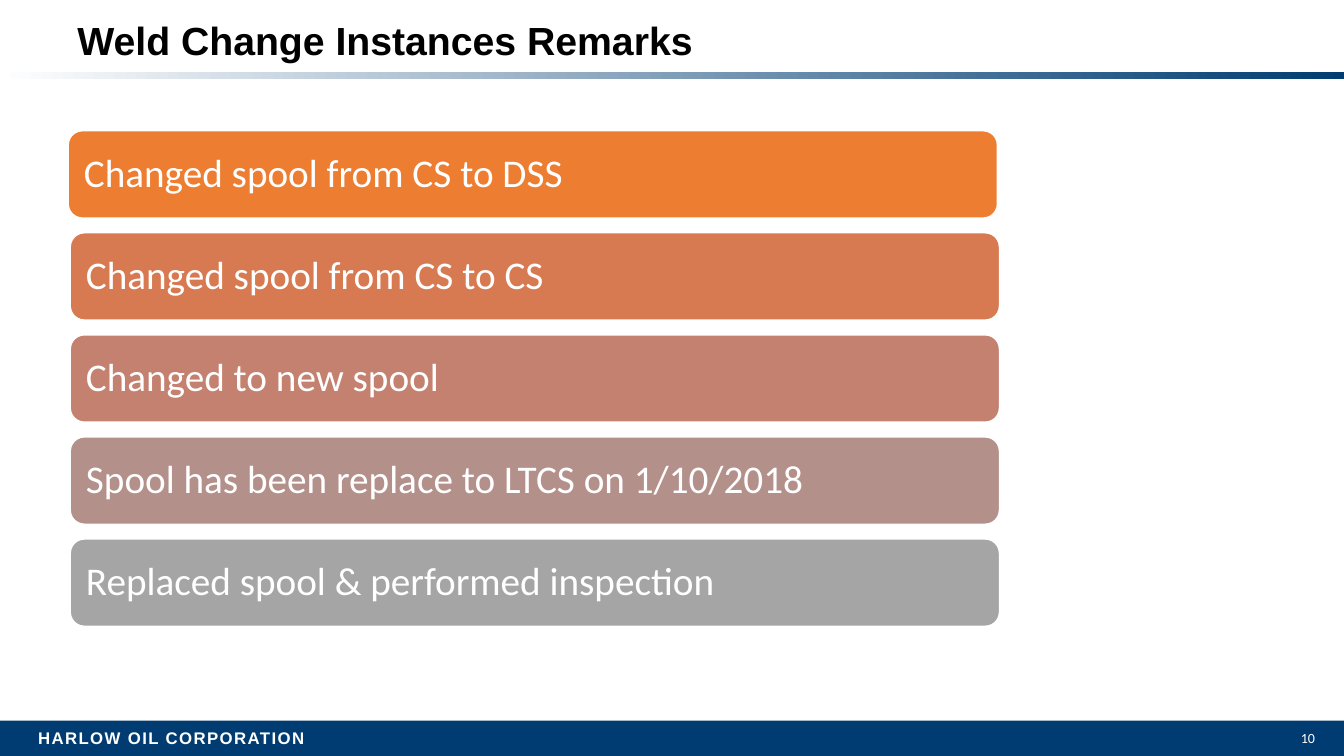
from pptx import Presentation
from pptx.dml.color import RGBColor
from pptx.enum.shapes import MSO_SHAPE
from pptx.enum.text import MSO_ANCHOR, PP_ALIGN
from pptx.util import Inches, Pt

RECT, ROUNDED = MSO_SHAPE.RECTANGLE, MSO_SHAPE.ROUNDED_RECTANGLE
TOP, MIDDLE = MSO_ANCHOR.TOP, MSO_ANCHOR.MIDDLE
LEFT, RIGHT = PP_ALIGN.LEFT, PP_ALIGN.RIGHT
NAVY, WHITE, BLACK = "003C71", "FFFFFF", "000000"
WIDTH, HEIGHT = 13.33, 7.5
FOOTER_H = 0.35

prs = Presentation()
prs.slide_width, prs.slide_height = Inches(WIDTH), Inches(HEIGHT)
s = prs.slides.add_slide(prs.slide_layouts[6])


def add_box(kind, x, y, w, h, color=None):
    """Add a preset shape, or a text box when kind is None."""
    box = [Inches(v) for v in (x, y, w, h)]
    if kind is None:
        return s.shapes.add_textbox(*box)
    sp = s.shapes.add_shape(kind, *box)
    sp.shadow.inherit = False
    sp.line.fill.background()
    if color:
        sp.fill.solid()
        sp.fill.fore_color.rgb = RGBColor.from_string(color)
    return sp


def write(sp, text, size, font, color, bold=False, align=LEFT, anchor=TOP, wrap=True):
    tf = sp.text_frame
    tf.word_wrap, tf.vertical_anchor = wrap, anchor
    p = tf.paragraphs[0]
    p.text, p.alignment = text, align
    p.font.size, p.font.name, p.font.bold = Pt(size), font, bold
    p.font.color.rgb = RGBColor.from_string(color)
    return tf


# Footer band and title rule
add_box(RECT, 0, HEIGHT - FOOTER_H, WIDTH, FOOTER_H, NAVY)
rule = add_box(RECT, 0, 0.71, WIDTH, 0.07)
rule.fill.gradient()
rule.fill.gradient_angle = 0
for stop, position, color in zip(rule.fill.gradient_stops, (0, 1), (WHITE, NAVY)):
    stop.position = position
    stop.color.rgb = RGBColor.from_string(color)

# Footer text, page number and title
tf = write(add_box(None, 0.28, 7.17, 2.86, 0.3), "HARLOW OIL CORPORATION",
           12, "Arial", WHITE, bold=True, wrap=False)
tf.paragraphs[0].runs[0].font._element.set("spc", "100")
write(add_box(None, 10.03, 7.19, 3.11, 0.3), "10", 10, "Calibri", WHITE, align=RIGHT)
write(add_box(None, 0.67, 0, 12, 0.78), "Weld Change Instances Remarks",
      28, "Arial", BLACK, bold=True, anchor=MIDDLE)

# Remark bars, the first set slightly to the left
remarks = [
    ("Changed spool from CS to DSS", "ED7D31"),
    ("Changed spool from CS to CS", "D87A51"),
    ("Changed to new spool", "C48170"),
    ("Spool has been replace to LTCS on 1/10/2018", "B4908B"),
    ("Replaced spool & performed inspection", "A5A5A5"),
]
FIRST_TOP, LAST_TOP = 1.29, 5.34
pitch = (LAST_TOP - FIRST_TOP) / (len(remarks) - 1)
for i, (remark, color) in enumerate(remarks):
    bar = add_box(ROUNDED, 0.69 if i else 0.67, FIRST_TOP + i * pitch, 9.23, 0.88, color)
    bar.line.color.rgb = RGBColor.from_string(WHITE)
    bar.line.width = Pt(2)
    tf = write(bar, remark, 28, "Calibri", WHITE, anchor=MIDDLE)
    tf.margin_left = tf.margin_right = tf.margin_top = tf.margin_bottom = Inches(0.12)
    tf.paragraphs[0].line_spacing = 0.9

prs.save("out.pptx")
